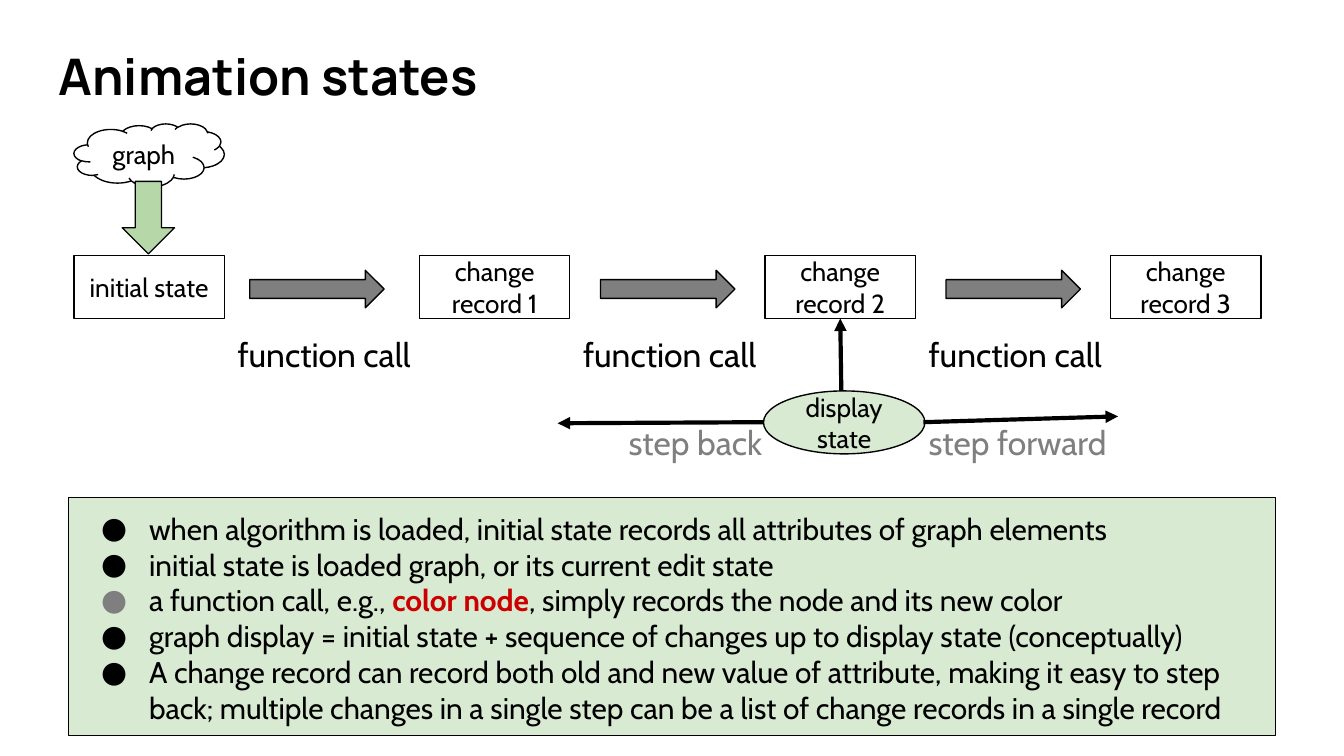
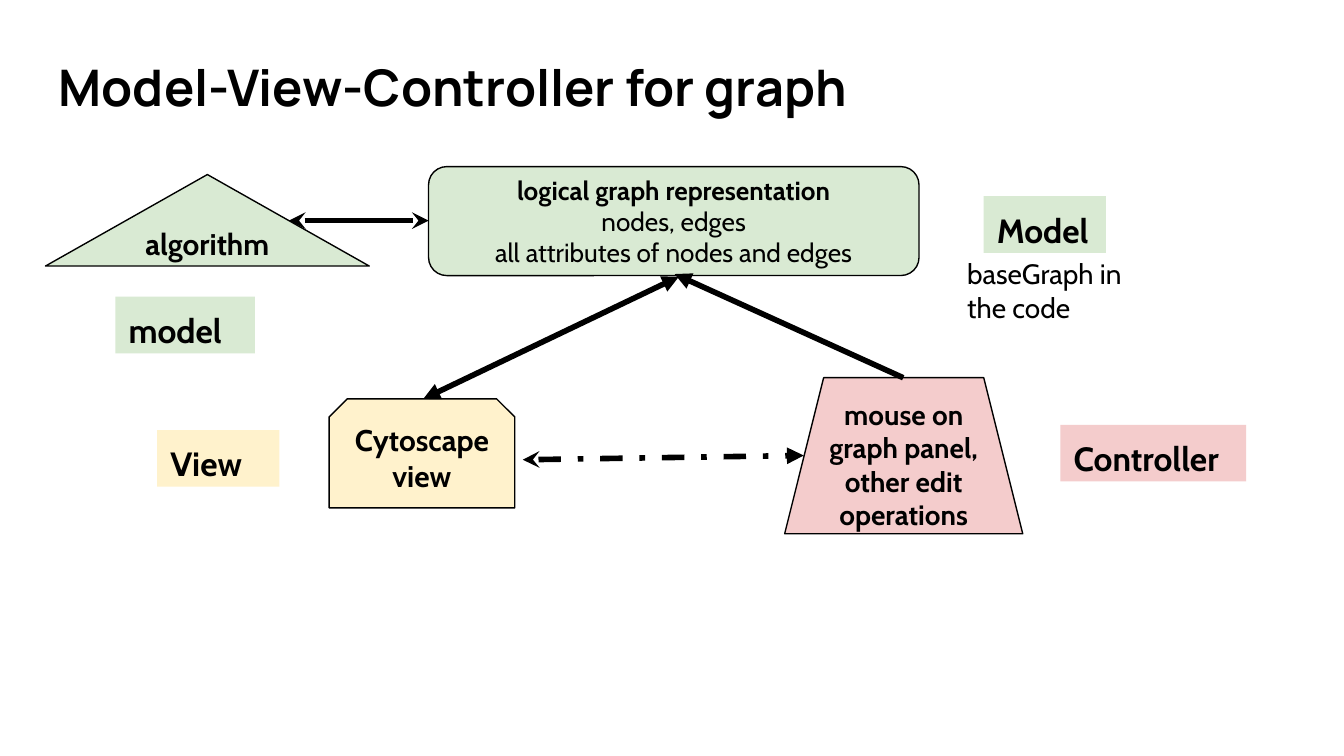
from dataclasses import dataclass

from lxml import etree
from pptx import Presentation
from pptx import util as u
from pptx.dml import color as dml
from pptx.enum import dml as strokes
from pptx.enum import shapes, text
from pptx.oxml import ns


@dataclass(frozen=True)
class Theme:
    title_font: str = "Manrope"
    body_font: str = "Cabin"
    black: str = "000000"
    white: str = "FFFFFF"
    grey: str = "7F7F7F"
    red: str = "CC0000"
    green: str = "D9EAD3"
    deep_green: str = "B6D7A8"
    yellow: str = "FFF2CC"
    pink: str = "F4CCCC"
    title: int = 27
    label: int = 18
    body: int = 16
    note: int = 15
    small: int = 14
    outline: float = 0.75
    inset: float = 0.25


theme = Theme()
preset = shapes.MSO_SHAPE
rgb = dml.RGBColor.from_string


def put(slide, kind, box, words="", size=theme.small, fill=None, ink=theme.black,
        font=theme.body_font, bold=False, outlined=True, centred=True):
    place = [u.Cm(length) for length in box]
    if kind is None:
        item = slide.shapes.add_textbox(*place)
    else:
        item = slide.shapes.add_shape(kind, *place)
        item.shadow.inherit = False
        item.fill.solid()
        item.fill.fore_color.rgb = rgb(fill)
        if outlined:
            item.line.color.rgb = rgb(theme.black)
            item.line.width = u.Pt(theme.outline)
        else:
            item.line.fill.background()
    frame = item.text_frame
    frame.word_wrap = True
    frame.margin_left = frame.margin_right = u.Cm(theme.inset)
    frame.margin_top = frame.margin_bottom = u.Cm(theme.inset)
    middle = kind is not None and centred
    frame.vertical_anchor = text.MSO_ANCHOR.MIDDLE if middle else text.MSO_ANCHOR.TOP
    frame.text = words.replace("*", "")
    for paragraph, line in zip(frame.paragraphs, words.split("\n")):
        paragraph.alignment = text.PP_ALIGN.CENTER if middle else text.PP_ALIGN.LEFT
        paragraph.clear()
        for index, part in enumerate(line.split("*")):
            if part:
                run = paragraph.add_run()
                run.text = part
                run.font.name = font
                run.font.size = u.Pt(size)
                run.font.bold = bold or index % 2 == 1
                run.font.color.rgb = rgb(ink)
    return item


def link(slide, start, end, width, head=None, tail="triangle", dash=None):
    arrow = slide.shapes.add_connector(
        shapes.MSO_CONNECTOR.STRAIGHT, *[u.Cm(length) for length in start + end])
    arrow.line.color.rgb = rgb(theme.black)
    arrow.line.width = u.Pt(width)
    if dash:
        arrow.line.dash_style = dash
    properties = arrow.element.spPr
    stroke = properties.find(ns.qn("a:ln"))
    for tag, tip in (("a:headEnd", head), ("a:tailEnd", tail)):
        if tip:
            etree.SubElement(stroke, ns.qn(tag), type=tip)
    etree.SubElement(properties, ns.qn("a:effectLst"))


deck = Presentation()
deck.slide_width, deck.slide_height = u.Cm(25.4), u.Cm(14.29)
states, mvc = [deck.slides.add_slide(deck.slide_layouts[6]) for _ in range(2)]
for slide, heading, top, width in (
    (states, "Animation states", 0.61, 8.69),
    (mvc, "Model-View-Controller for graph", 0.81, 15.77),
):
    put(slide, None, (0.86, top, width, 1.73), heading, theme.title,
        font=theme.title_font, bold=True)

first, step, record_width = 1.4, 6.53, 2.84
records = ["initial state"] + [f"change record {number}" for number in (1, 2, 3)]
for index, record in enumerate(records):
    put(states, preset.RECTANGLE, (first + index * step, 4.83, record_width, 1.19),
        record, fill=theme.white)
for index, left in enumerate((4.72, 11.35, 17.88)):
    put(states, preset.RIGHT_ARROW, (left, 5.11, 2.54, 0.71), fill=theme.grey)
    put(states, None, (first + record_width + index * step, 6.07, 4.09, 0.71),
        "function call", theme.label)

put(states, preset.OVAL, (14.43, 7.39, 3.05, 1.19), "display state", fill=theme.green)
for start, end in (
    ((15.9, 7.39), (15.88, 6.02)),
    ((17.45, 7.98), (21.13, 7.87)),
    ((14.43, 7.98), (10.54, 8)),
):
    link(states, start, end, 2.25)
for direction, left, width in (("step back", 11.63, 3.05), ("step forward", 17.3, 4.09)):
    put(states, None, (left, 7.72, width, 0.71), direction, theme.label, ink=theme.grey)

put(states, preset.CLOUD, (first, 2.34, record_width, 1.19), "graph", fill=theme.white)
put(states, preset.DOWN_ARROW, (2.31, 3.43, 0.99, 1.37), fill=theme.deep_green)

remarks = [
    "when algorithm is loaded, initial state records all attributes of graph elements",
    "initial state is loaded graph, or its current edit state",
    "a function call, e.g., *color node*, simply records the node and its new color",
    "graph display = initial state + sequence of changes up to display state (conceptually)",
    "A change record can record both old and new value of attribute, making it easy to step "
    "back; multiple changes in a single step can be a list of change records in a single record",
]
summary = put(states, preset.RECTANGLE, (1.3, 9.4, 22.81, 4.5), "\n".join(remarks),
              theme.body, theme.green, centred=False)
for paragraph in summary.text_frame.paragraphs:
    emphasised = [run for run in paragraph.runs if run.font.bold]
    for run in emphasised:
        run.font.color.rgb = rgb(theme.red)
    layout = paragraph._p.get_or_add_pPr()
    layout.set("marL", str(u.Cm(1.27)))
    layout.set("indent", str(u.Cm(-0.91)))
    bullet_ink = etree.SubElement(layout, ns.qn("a:buClr"))
    etree.SubElement(bullet_ink, ns.qn("a:srgbClr"),
                     val=theme.grey if emphasised else theme.black)
    etree.SubElement(layout, ns.qn("a:buFont"), typeface=theme.body_font)
    etree.SubElement(layout, ns.qn("a:buChar"), char="●")

put(mvc, preset.FLOWCHART_ALTERNATE_PROCESS, (8.1, 3.15, 9.27, 2.06),
    "*logical graph representation*\nnodes, edges\nall attributes of nodes and edges",
    fill=theme.green)
for kind, box, words, size, fill in (
    (preset.SNIP_2_SAME_RECTANGLE, (6.22, 7.54, 3.51, 2.06),
     "Cytoscape view", theme.body, theme.yellow),
    (preset.TRAPEZOID, (14.83, 7.14, 4.5, 2.95),
     "mouse on graph panel, other edit operations", theme.note, theme.pink),
    (preset.ISOSCELES_TRIANGLE, (0.86, 3.3, 6.12, 1.73),
     "algorithm", theme.body, theme.green),
):
    put(mvc, kind, box, words, size, fill, bold=True)

for start, end, head, tail, dash in (
    ((12.83, 5.23), (8, 7.54), "triangle", "triangle", None),
    ((17.07, 7.14), (12.75, 5.18), None, "triangle", None),
    ((9.88, 8.69), (15.19, 8.61), "stealth", "triangle", strokes.MSO_LINE.DASH_DOT),
    ((5.46, 4.17), (8.1, 4.17), "stealth", "stealth", None),
):
    link(mvc, start, end, 3, head, tail, dash)

for role, left, top, width, fill in (
    ("Model", 18.59, 3.71, 2.31, theme.green),
    ("View", 2.97, 8.13, 2.31, theme.yellow),
    ("Controller", 20.04, 8.03, 3.51, theme.pink),
    ("model", 2.18, 5.61, 2.64, theme.green),
):
    put(mvc, preset.RECTANGLE, (left, top, width, 1.07), role, theme.label, fill,
        bold=True, outlined=False, centred=False)
put(mvc, None, (18.03, 4.6, 4.14, 0.71), "baseGraph in the code", theme.note)

deck.save("out.pptx")
